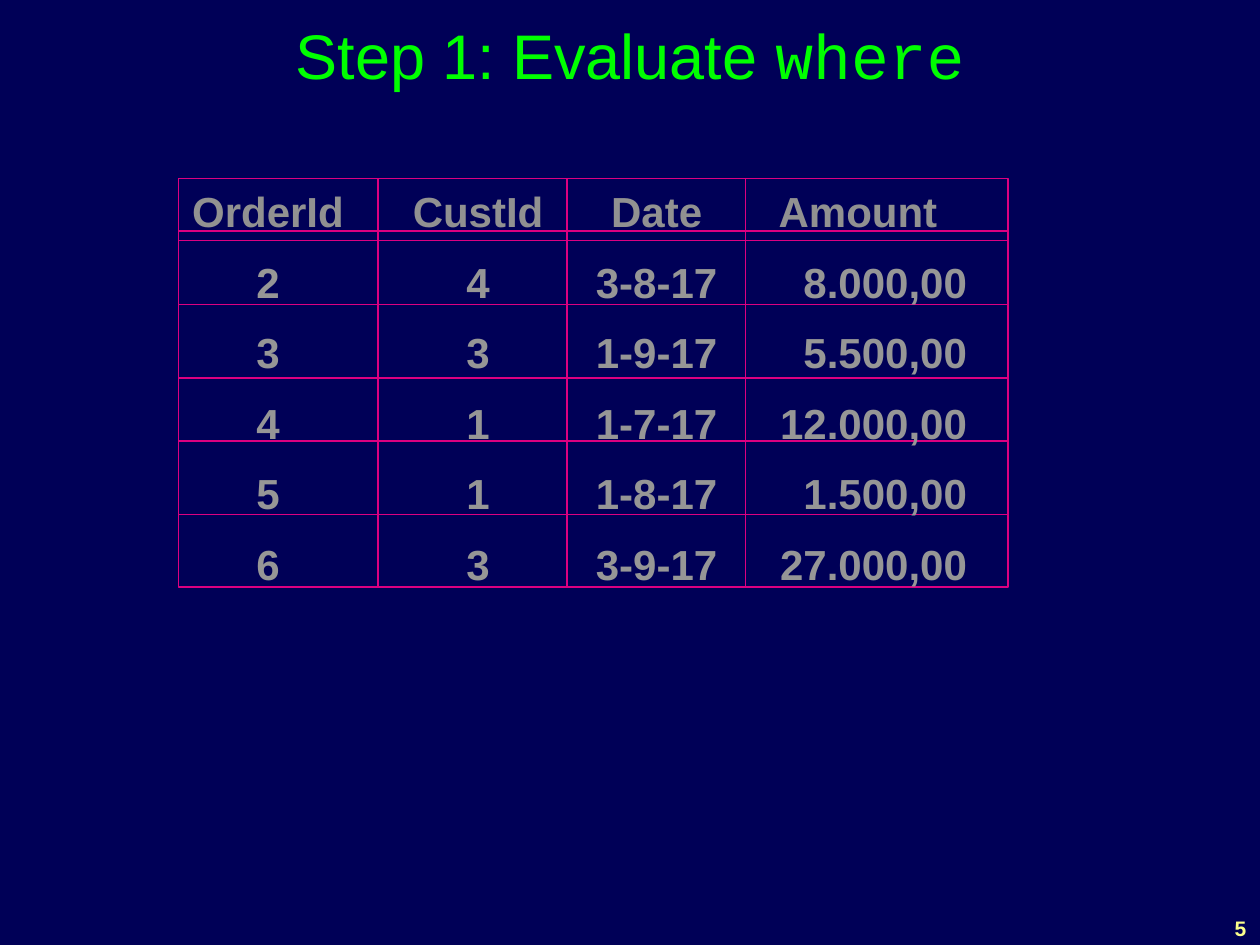
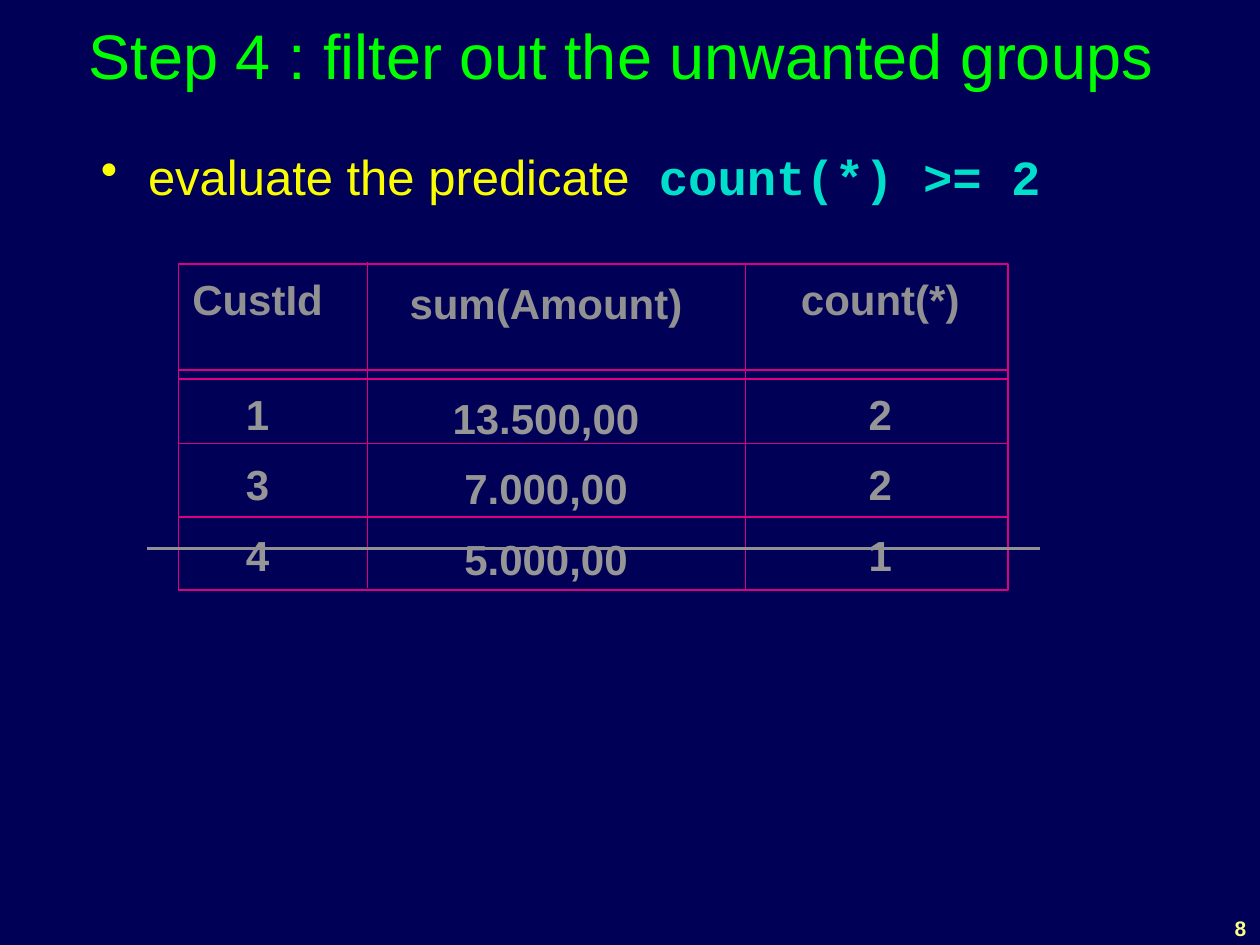
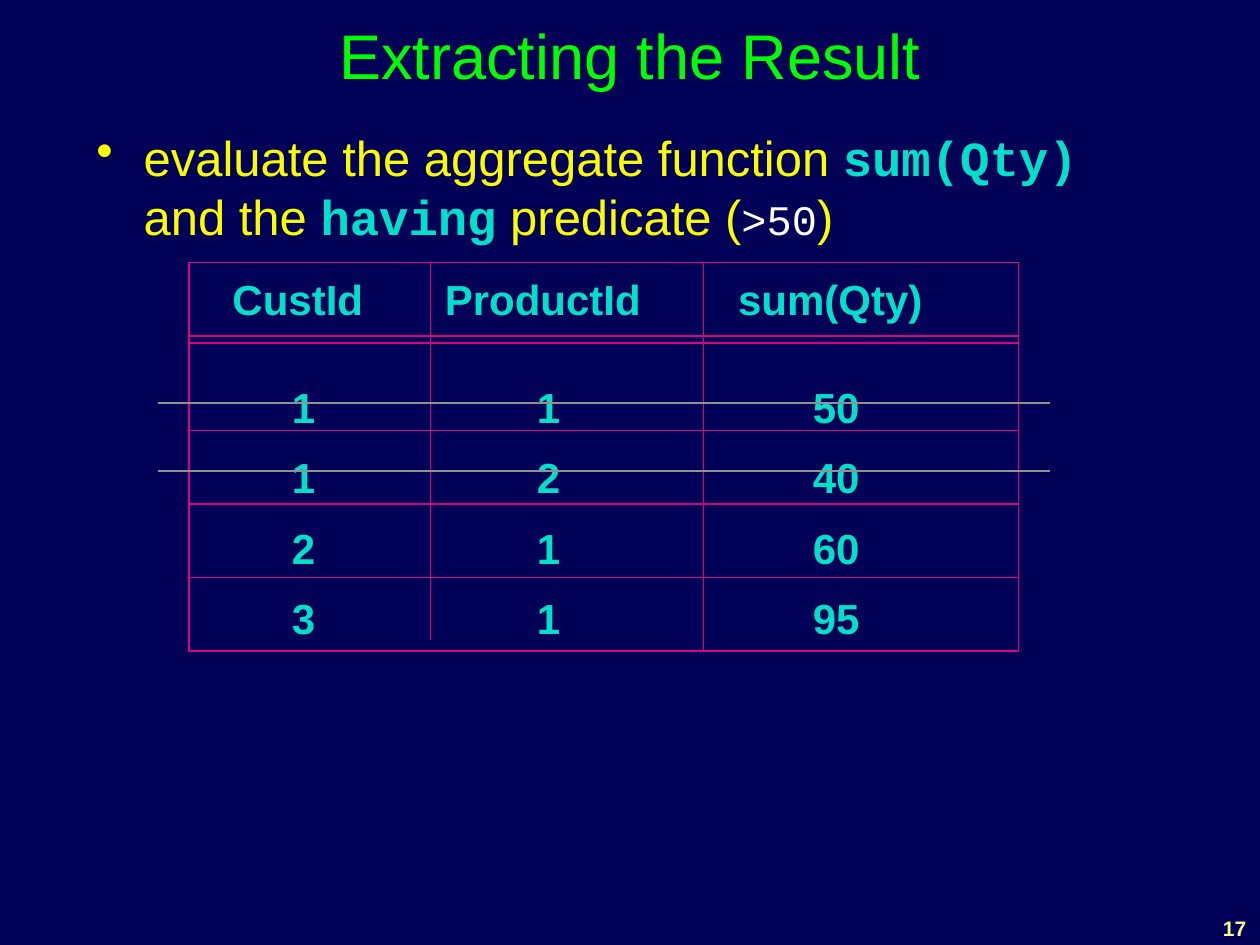
"""Build three slides that evaluate an SQL query step by step on ruled tables."""
from lxml import etree
from pptx import Presentation
from pptx.dml.color import RGBColor
from pptx.enum import shapes, text
from pptx.oxml import ns
from pptx.util import Pt

NAVY, GREEN, YELLOW, CREAM = "000057", "00FF00", "FAFD00", "FBFE8C"
PINK, TEAL, WHITE = "DC0081", "00DFCA", "FFFFFF"
HEAD_GREY, CELL_GREY = "919191", "969696"
SANS, MONO = "Arial", "Courier New"
LEFT, CENTER, RIGHT = text.PP_ALIGN.LEFT, text.PP_ALIGN.CENTER, text.PP_ALIGN.RIGHT
color = RGBColor.from_string


def add_text(page, left, top, width, height, paragraphs, align=CENTER, anchor=text.MSO_ANCHOR.TOP):
    """Add a wrapped text box; a paragraph is a list of (text, font, size, colour, bold) spans."""
    box = page.shapes.add_textbox(Pt(left), Pt(top), Pt(width), Pt(height))
    frame = box.text_frame
    frame.word_wrap = True
    frame.vertical_anchor = anchor
    for number, spans in enumerate(paragraphs):
        para = frame.add_paragraph() if number else frame.paragraphs[0]
        para.alignment = align
        for words, name, size, shade, bold in spans:
            span = para.add_run()
            span.text = words
            font = para.font if len(spans) == 1 else span.font
            font.name, font.size, font.bold = name, Pt(size), bold
            font.color.rgb = color(shade)
    return frame


def add_line(page, x1, y1, x2, y2, shade=PINK, weight=1):
    """Add a straight line without a shadow."""
    line = page.shapes.add_connector(shapes.MSO_CONNECTOR.STRAIGHT, Pt(x1), Pt(y1), Pt(x2), Pt(y2))
    line.line.color.rgb = color(shade)
    line.line.width = Pt(weight)
    etree.SubElement(line._element.spPr, ns.qn("a:effectLst"))


pages = [
    {
        "number": "5",
        "title": [("Step 1: Evaluate ", SANS, 36, GREEN, False), ("where", MONO, 36, GREEN, False)],
        "frame": (102, 102, 474, 233.5),
        "rows": [132, 137.5, 174, 216, 252, 294],
        "rules": [(216, 102, 335.5), (324, 102, 335.5), (426, 102, 335.5)],
        "shades": (HEAD_GREY, CELL_GREY),
        "head_spacing": 1.4,
        "gap": 0,
        "columns": [
            (102, 91, 102.4, CENTER, ["OrderId", "2", "3", "4", "5", "6"]),
            (228, 91, 90.4, CENTER, ["CustId", "4", "3", "1", "1", "3"]),
            (332.5, 91, 85.4, CENTER, ["Date", "3-8-17", "1-9-17", "1-7-17", "1-8-17", "3-9-17"]),
            (437.8, 91, 121.8, RIGHT,
             ["Amount", "8.000,00", "5.500,00", "12.000,00", "1.500,00", "27.000,00"]),
        ],
        "strikes": [],
    },
    {
        "number": "8",
        "title": [("Step 4 : filter out the unwanted groups ", SANS, 36, GREEN, False)],
        "bullet": (50.5, 76.3, 648, 60),
        "spans": [("evaluate the predicate", SANS, 28, YELLOW, False),
                  (" count(*) >= 2", MONO, 28, TEAL, True)],
        "frame": (102, 151, 474, 186),
        "rows": [211.5, 216.7, 253.5, 295.3],
        "rules": [(210, 150, 336), (426, 151, 337.5)],
        "shades": (HEAD_GREY, CELL_GREY),
        "head_spacing": 0.9,
        "gap": 24.8,
        "columns": [
            (102, 156.2, 90.4, CENTER, ["CustId", "1", "3", "4"]),
            (216, 158.4, 192, CENTER, ["sum(Amount)", "13.500,00", "7.000,00", "5.000,00"]),
            (436, 156.2, 134, CENTER, ["count(*)", "2", "2", "1"]),
        ],
        "strikes": [313.3],
    },
    {
        "number": "17",
        "title": [("Extracting the Result", SANS, 36, GREEN, False)],
        "bullet": (48, 65.5, 624, 84),
        "spans": [("evaluate the aggregate function ", SANS, 28, YELLOW, False),
                  ("sum(Qty) ", MONO, 28, TEAL, True),
                  ("and the ", SANS, 28, YELLOW, False),
                  ("having", MONO, 28, TEAL, True),
                  (" predicate (", SANS, 28, YELLOW, False),
                  (">50", MONO, 24, WHITE, False),
                  (")", SANS, 28, YELLOW, False)],
        "frame": (108, 150, 474, 222),
        "rows": [192, 196, 246, 288, 330],
        "rules": [(246, 150, 366), (402, 150, 372)],
        "shades": (TEAL, TEAL),
        "head_spacing": 0.9,
        "gap": 20.7,
        "columns": [
            (125.2, 156.2, 96.6, CENTER, ["CustId ", "1", "1", "2", "3"]),
            (246, 156.2, 135, CENTER, ["ProductId ", "1", "2", "1", "1"]),
            (414, 156.2, 127.6, CENTER, ["sum(Qty) ", "50", "40", "60", "95"]),
        ],
        "strikes": [230.3, 269.2],
    },
]

deck = Presentation()
deck.slide_width, deck.slide_height = Pt(720), Pt(540)

for content in pages:
    page = deck.slides.add_slide(deck.slide_layouts[6])
    page.background.fill.solid()
    page.background.fill.fore_color.rgb = color(NAVY)
    add_text(page, 654.5, 520.5, 64.8, 19.5, [[(content["number"], SANS, 12, CREAM, True)]],
             RIGHT, text.MSO_ANCHOR.MIDDLE)
    add_text(page, 24, 2, 672, 58, [content["title"]], anchor=text.MSO_ANCHOR.MIDDLE)

    if "bullet" in content:
        body = add_text(page, *content["bullet"], [content["spans"]], LEFT)
        body.margin_top = Pt(7.2)
        properties = body.paragraphs[0]._p.get_or_add_pPr()
        properties.set("marL", str(Pt(27)))
        properties.set("indent", str(Pt(-27)))
        etree.SubElement(properties, ns.qn("a:buChar"), char="•")

    left, top, width, height = content["frame"]
    frame = page.shapes.add_shape(shapes.MSO_SHAPE.RECTANGLE, Pt(left), Pt(top), Pt(width), Pt(height))
    frame.shadow.inherit = False
    frame.fill.background()
    frame.line.color.rgb = color(PINK)
    frame.line.width = Pt(1)
    for y in content["rows"]:
        add_line(page, left, y, left + width, y)
    for x, start, end in content["rules"]:
        add_line(page, x, start, x, end)

    head_shade, cell_shade = content["shades"]
    for x, y, column_width, align, values in content["columns"]:
        cells = [[(value, SANS, 24, cell_shade if row else head_shade, True)]
                 for row, value in enumerate(values)]
        column = add_text(page, x, y, column_width, top + height - y + 4, cells, align)
        head, first, *others = column.paragraphs
        for para in (first, *others):
            para.line_spacing = 1.4
        head.line_spacing = content["head_spacing"]
        if align == RIGHT:
            head.alignment = LEFT
        if content["gap"]:
            first.space_before = Pt(content["gap"])

    for y in content["strikes"]:
        add_line(page, left - 18, y, left + width + 18, y, HEAD_GREY, 1.5)

deck.save("out.pptx")
